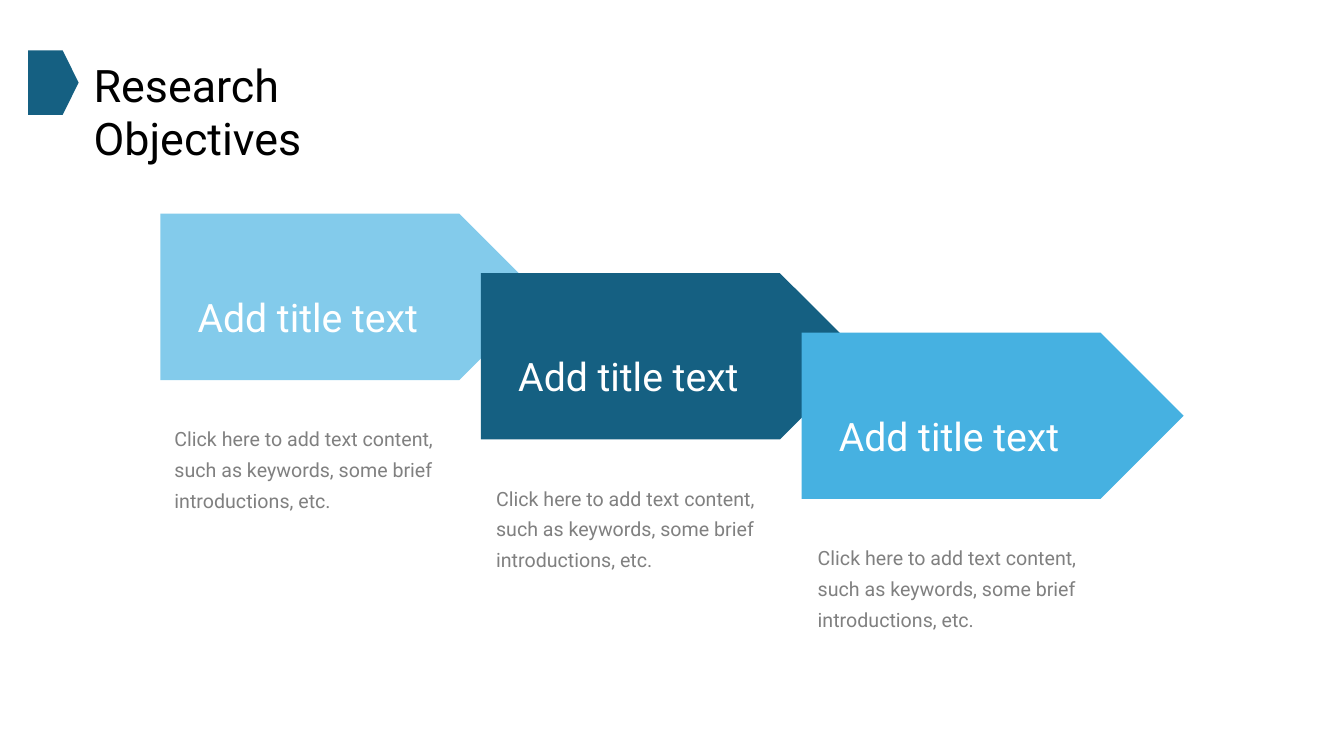
from pptx import Presentation
from pptx.dml.color import RGBColor
from pptx.enum.shapes import MSO_SHAPE
from pptx.enum.text import MSO_AUTO_SIZE
from pptx.util import Inches, Pt

ARROW = MSO_SHAPE.PENTAGON
GROW = MSO_AUTO_SIZE.SHAPE_TO_FIT_TEXT
FONT = "Roboto"
BLACK = RGBColor(0x00, 0x00, 0x00)
WHITE = RGBColor(0xFF, 0xFF, 0xFF)
GRAY = RGBColor(0x80, 0x80, 0x80)
NAVY = RGBColor(0x15, 0x60, 0x82)
PALE = RGBColor(0x83, 0xCB, 0xEB)
SKY = RGBColor(0x46, 0xB1, 0xE1)

TITLE = "Research Objectives"
BODY = "Click here to add text content, such as keywords, some brief introductions, etc."
STEPS = [
    ("Add title text", BODY, PALE, 2.82),
    ("Add title text", BODY, NAVY, 2.79),
    ("Add title text", BODY, SKY, 2.89),
]
LEFT, TOP = 1.59, 2.12
STEP_X, STEP_Y = 3.18, 0.59
BODY_LEFT, BODY_TOP, BODY_STEP = 1.73, 4.17, 3.19


def add_text(shapes, text, box, size, color, inset=None, spacing=None):
    item = shapes.add_textbox(*map(Inches, box))
    frame = item.text_frame
    frame.word_wrap = True
    frame.auto_size = GROW
    if inset is not None:
        frame.margin_left = frame.margin_right = Inches(inset)
        frame.margin_top = frame.margin_bottom = Inches(inset)
    para = frame.paragraphs[0]
    if spacing:
        para.line_spacing = spacing
    run = para.add_run()
    run.text = text
    run.font.name = FONT
    run.font.size = Pt(size)
    run.font.color.rgb = color


def add_arrow(shapes, box, color, point=0.5):
    arrow = shapes.add_shape(ARROW, *map(Inches, box))
    arrow.adjustments[0] = point
    arrow.shadow.inherit = False
    arrow.fill.solid()
    arrow.fill.fore_color.rgb = color
    arrow.line.fill.background()


def main():
    deck = Presentation()
    deck.slide_width, deck.slide_height = Inches(13.33), Inches(7.5)
    slide = deck.slides.add_slide(deck.slide_layouts[6])
    add_text(slide.shapes, TITLE, (0.83, 0.52, 3.86, 0.64), 32, BLACK)
    add_arrow(slide.shapes, (0.28, 0.5, 0.5, 0.64), NAVY, point=0.315)

    for i, (head, body, color, width) in enumerate(STEPS):
        group = slide.shapes.add_group_shape().shapes
        x, y = LEFT + i * STEP_X, TOP + i * STEP_Y
        add_arrow(group, (x, y, 3.79, 1.65), color)
        add_text(group, head, (x + 0.37, y + 0.79, 2.36, 0.47), 28, WHITE, inset=0)
        place = (BODY_LEFT + i * BODY_STEP, BODY_TOP + i * STEP_Y, width, 0.89)
        add_text(group, body, place, 14, GRAY, inset=0, spacing=1.3)

    deck.save("out.pptx")


if __name__ == "__main__":
    main()
